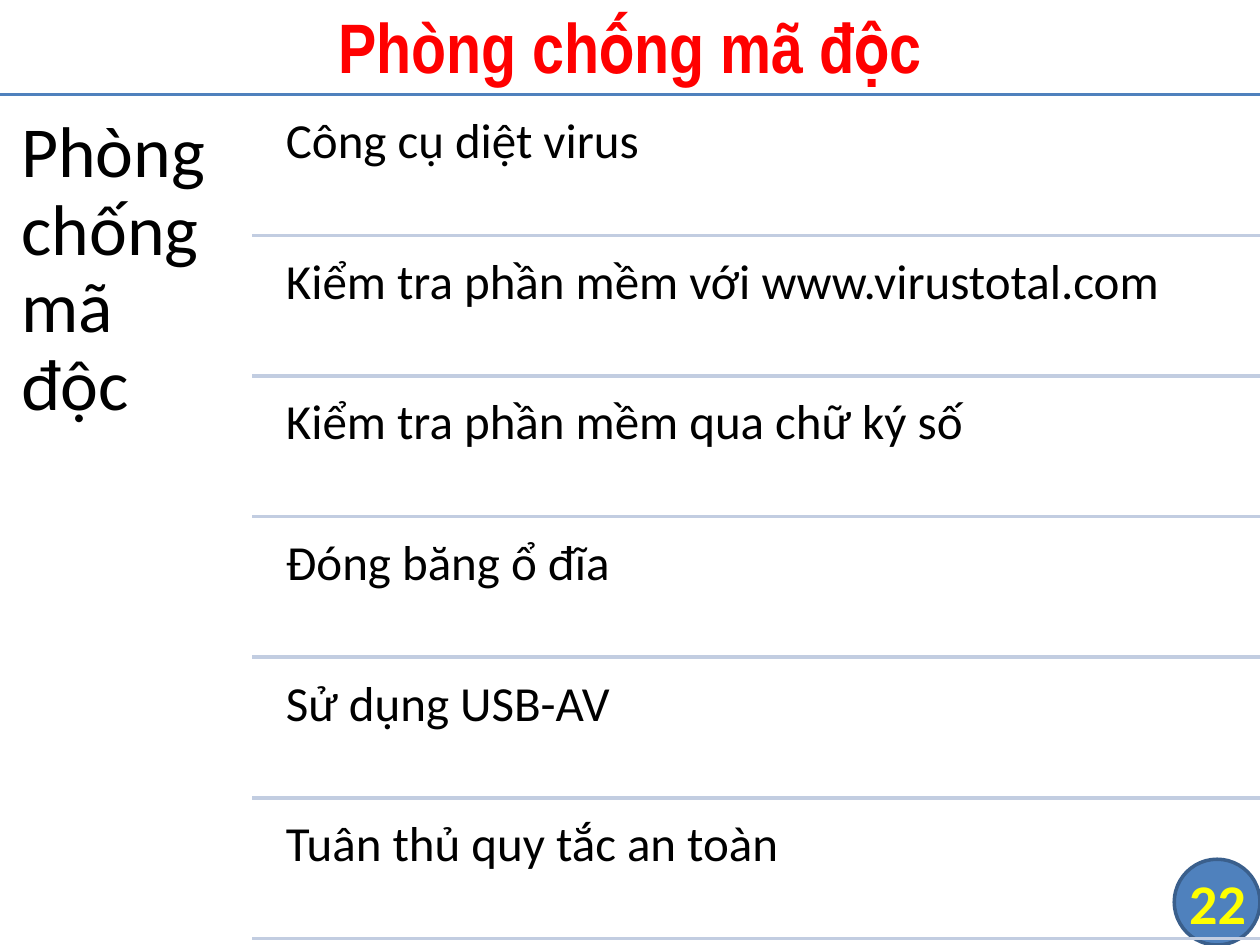
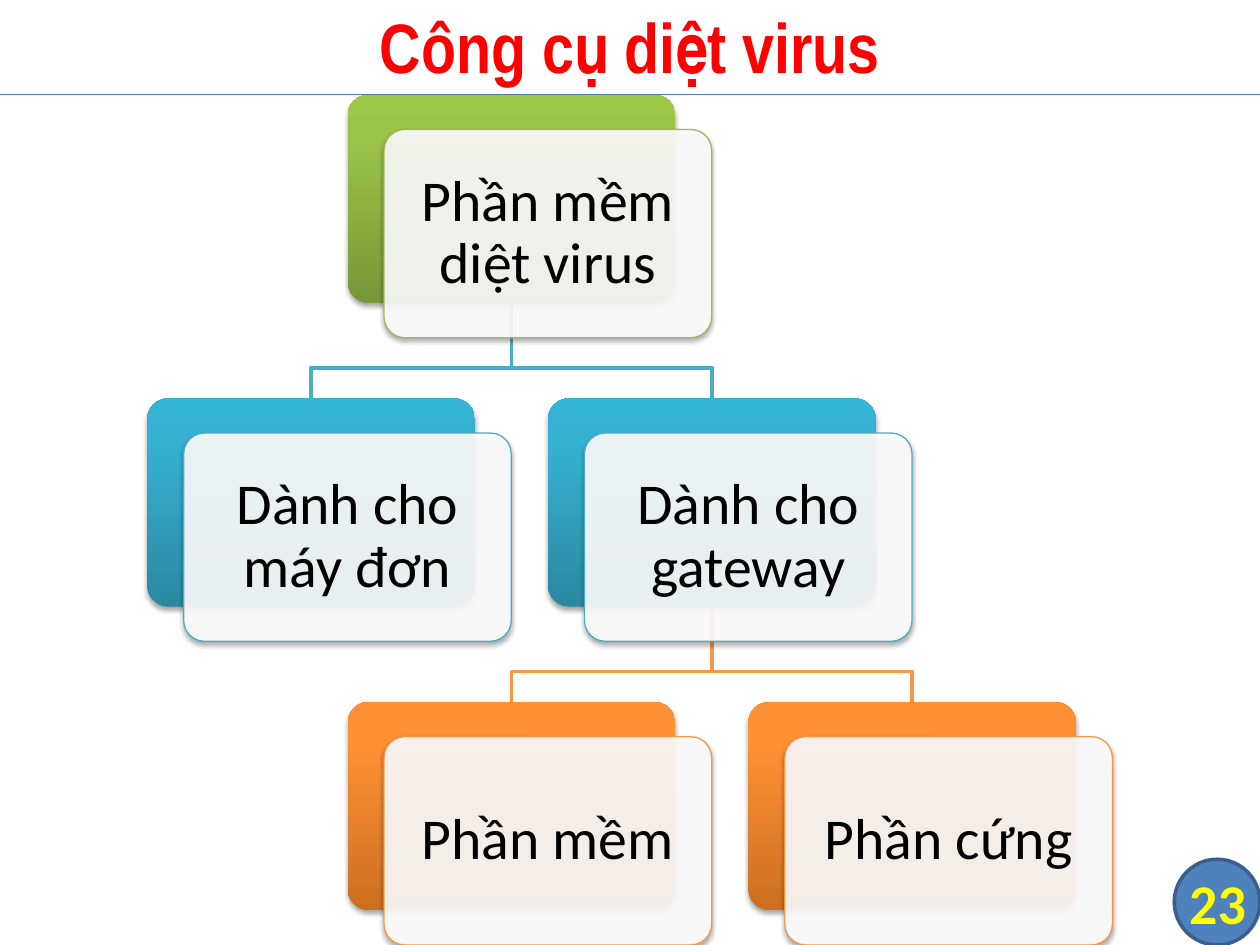
from lxml.etree import SubElement
from pptx import Presentation
from pptx.dml.color import RGBColor
from pptx.enum.shapes import MSO_CONNECTOR as Connector, MSO_SHAPE as Preset
from pptx.enum.text import MSO_ANCHOR as Anchor, PP_ALIGN as Align
from pptx.oxml.ns import qn
from pptx.util import Pt

WIDTH, HEIGHT = 720, 540
HEADER_BOTTOM = 54
BLUE, TEAL, ORANGE, GREEN = "4F81BD", "4BACC6", "F79646", "9BBB59"
BLACK, WHITE, RED, YELLOW = "000000", "FFFFFF", "FF0000", "FFFF00"
GRADIENTS = {
    GREEN: ("779737", "9BC348", "9DC746"),
    TEAL: ("2A88A2", "37B1D2", "34B4D6"),
    ORANGE: ("CC6E20", "FF9034", "FF9136"),
}

METHODS = [
    "Công cụ diệt virus",
    "Kiểm tra phần mềm với www.virustotal.com",
    "Kiểm tra phần mềm qua chữ ký số",
    "Đóng băng ổ đĩa",
    "Sử dụng USB-AV",
    "Tuân thủ quy tắc an toàn",
]

# Tree nodes: text, column, level, colour; then links as (parent, child).
NODES = [
    ("Phần mềm diệt virus", 1, 0, GREEN),
    ("Dành cho máy đơn", 0, 1, TEAL),
    ("Dành cho gateway", 2, 1, TEAL),
    ("Phần mềm", 1, 2, ORANGE),
    ("Phần cứng", 3, 2, ORANGE),
]
LINKS = [(2, 4), (2, 3), (0, 2), (0, 1)]
NODE_WIDTH, NODE_HEIGHT = 187.2, 119
COLUMN_STEP, LEVEL_STEP = 114.5, 173.5


def color(hex_code):
    return RGBColor.from_string(hex_code)


def node_position(column, level):
    return 84.2 + column * COLUMN_STEP, HEADER_BOTTOM + 0.2 + level * LEVEL_STEP


class Deck:
    def __init__(self):
        self.presentation = Presentation()
        self.presentation.slide_width = Pt(WIDTH)
        self.presentation.slide_height = Pt(HEIGHT)
        self.slide = None

    def start_slide(self):
        self.slide = self.presentation.slides.add_slide(self.presentation.slide_layouts[6])
        badge = self.preset(Preset.FLOWCHART_CONNECTOR, 671, 491, 49, 49)
        badge.fill.solid()
        badge.fill.fore_color.rgb = color(BLUE)
        self.outline(badge, "3A5F8C", 2)
        self.line(0, HEADER_BOTTOM, WIDTH, "4B7EBC", 0.75)

    def finish_slide(self, title, number):
        """Add the title and page number above the content."""
        self.text(title, 0, -2.2, WIDTH, 56.2, 40, "Arial Narrow", RED, True,
                  Align.CENTER, Anchor.MIDDLE, (7.2, 3.6), 1)
        self.text(str(number), 671.5, 491, 48.5, 49, 32, "Calibri", YELLOW, True,
                  Align.CENTER, Anchor.MIDDLE, (0, 0), 1)

    def outline(self, shape, hex_code, weight):
        shape.line.color.rgb = color(hex_code)
        shape.line.width = Pt(weight)

    def preset(self, kind, left, top, width, height):
        shape = self.slide.shapes.add_shape(kind, Pt(left), Pt(top), Pt(width), Pt(height))
        shape.shadow.inherit = False
        return shape

    def line(self, left, top, right, hex_code, weight):
        connector = self.slide.shapes.add_connector(
            Connector.STRAIGHT, Pt(left), Pt(top), Pt(right), Pt(top))
        self.outline(connector, hex_code, weight)
        SubElement(connector.element.spPr, qn("a:effectLst"))

    def text(self, content, left, top, width, height, size, font="Calibri",
             hex_code=BLACK, bold=False, align=Align.LEFT, anchor=Anchor.TOP,
             insets=(8.6, 8.6), spacing=0.9):
        """Add a text box; insets are (horizontal, vertical)."""
        box = self.slide.shapes.add_textbox(Pt(left), Pt(top), Pt(width), Pt(height))
        frame = box.text_frame
        frame.text = content
        frame.word_wrap = True
        frame.vertical_anchor = anchor
        frame.margin_left = frame.margin_right = Pt(insets[0])
        frame.margin_top = frame.margin_bottom = Pt(insets[1])
        paragraph = frame.paragraphs[0]
        paragraph.alignment = align
        paragraph.line_spacing = spacing
        run_font = paragraph.runs[0].font
        run_font.name, run_font.size, run_font.bold = font, Pt(size), bold
        run_font.color.rgb = color(hex_code)

    def card(self, left, top):
        """Add a rounded rectangle with a soft shadow below it."""
        shape = self.preset(Preset.ROUNDED_RECTANGLE, left, top, NODE_WIDTH, NODE_HEIGHT)
        shape.adjustments[0] = 0.1
        effects = shape.element.spPr.find(qn("a:effectLst"))
        shadow = SubElement(effects, qn("a:outerShdw"), blurRad=str(Pt(3.1)),
                            dist=str(Pt(1.8)), dir="5400000", rotWithShape="0")
        shade = SubElement(shadow, qn("a:srgbClr"), val=BLACK)
        SubElement(shade, qn("a:alpha"), val="35000")
        return shape

    def node(self, content, column, level, hex_code):
        """Add a gradient card with a translucent text card in front."""
        left, top = node_position(column, level)
        back = self.card(left, top)
        back.fill.gradient()
        back.fill.gradient_angle = 90
        back.line.fill.background()
        stops = back.element.spPr.find(qn("a:gradFill")).find(qn("a:gsLst"))
        for stop in list(stops):
            stops.remove(stop)
        for position, shade in zip((0, 80000, 100000), GRADIENTS[hex_code]):
            stop = SubElement(stops, qn("a:gs"), pos=str(position))
            SubElement(stop, qn("a:srgbClr"), val=shade)

        left, top = left + 20.8, top + 19.8
        front = self.card(left, top)
        front.fill.solid()
        front.fill.fore_color.rgb = color(WHITE)
        fill_color = front.element.spPr.find(qn("a:solidFill")).find(qn("a:srgbClr"))
        SubElement(fill_color, qn("a:alpha"), val="90000")
        self.outline(front, hex_code, 0.75)
        self.text(content, left + 3.5, top + 3.5, NODE_WIDTH - 7, NODE_HEIGHT - 7, 33,
                  align=Align.CENTER, anchor=Anchor.MIDDLE, insets=(10, 10))

    def link(self, parent, child):
        """Draw an elbow from the parent's bottom to the child's top."""
        parent_left, parent_top = node_position(*parent[1:3])
        child_left, child_top = node_position(*child[1:3])
        start_x, end_x = parent_left + NODE_WIDTH / 2, child_left + NODE_WIDTH / 2
        start_y = parent_top + NODE_HEIGHT
        bend_y = start_y + 37
        builder = self.slide.shapes.build_freeform(Pt(start_x), Pt(start_y))
        corners = [(start_x, bend_y), (end_x, bend_y), (end_x, child_top)]
        builder.add_line_segments([(Pt(x), Pt(y)) for x, y in corners], close=False)
        elbow = builder.convert_to_shape()
        elbow.shadow.inherit = False
        elbow.fill.background()
        self.outline(elbow, child[3], 2)


def build_methods(deck):
    deck.start_slide()
    deck.line(0, HEADER_BOTTOM, WIDTH, BLUE, 2)
    deck.text("Phòng chống mã độc", 0, HEADER_BOTTOM, 144, 486, 41, insets=(12.2, 12.2))
    for index, method in enumerate(METHODS):
        top = 57.8 + index * 80.36
        deck.text(method, 154.8, top, 565.2, 76.5, 28)
        deck.line(144, top + 76.7, WIDTH, "C2CDE1", 2)
    deck.finish_slide("Phòng chống mã độc", 22)


def build_tool_tree(deck):
    deck.start_slide()
    for parent, child in LINKS:
        deck.link(NODES[parent], NODES[child])
    for node in NODES:
        deck.node(*node)
    deck.finish_slide("Công cụ diệt virus", 23)


def main():
    deck = Deck()
    build_methods(deck)
    build_tool_tree(deck)
    deck.presentation.save("out.pptx")


if __name__ == "__main__":
    main()
